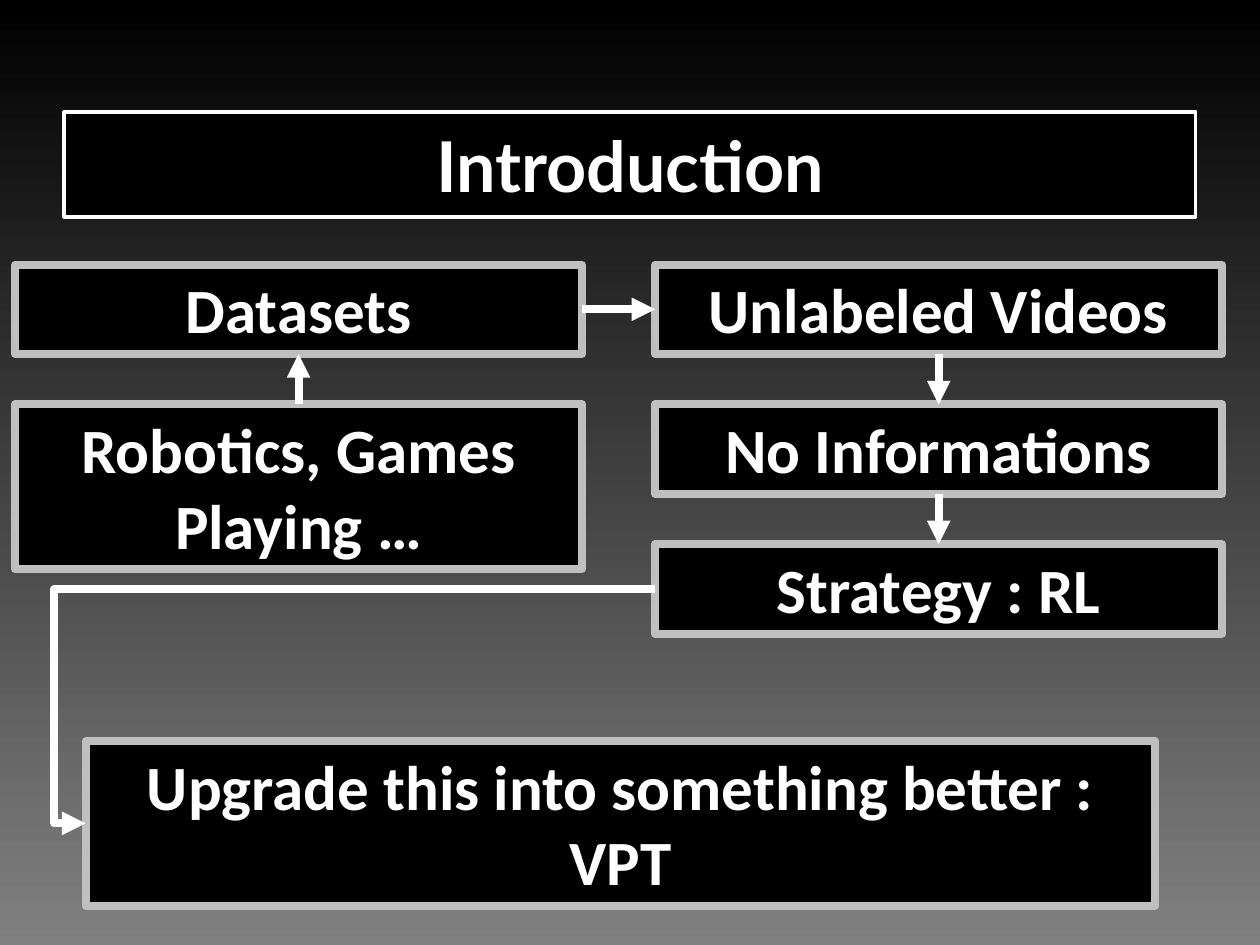
from lxml.etree import SubElement
from pptx import Presentation
from pptx.dml.color import RGBColor
from pptx.enum.shapes import MSO_CONNECTOR as Connector, MSO_SHAPE as Shape
from pptx.enum.text import MSO_ANCHOR as Anchor, MSO_AUTO_SIZE as AutoSize, PP_ALIGN as Align
from pptx.oxml.ns import qn
from pptx.util import Inches, Pt

BLACK = RGBColor(0x00, 0x00, 0x00)
WHITE = RGBColor(0xFF, 0xFF, 0xFF)
GREY = RGBColor(0x80, 0x80, 0x80)
SILVER = RGBColor(0xBF, 0xBF, 0xBF)

TOP, LEFT, BOTTOM, RIGHT = range(4)  # connection sites of a rectangle


def format_box(shape, text, font="Calibri", size=36, border=SILVER, border_width=4.5,
               anchor=Anchor.TOP):
    shape.fill.solid()
    shape.fill.fore_color.rgb = BLACK
    shape.line.color.rgb = border
    shape.line.width = Pt(border_width)
    frame = shape.text_frame
    frame.word_wrap = True
    frame.auto_size = AutoSize.SHAPE_TO_FIT_TEXT
    frame.vertical_anchor = anchor
    paragraph = frame.paragraphs[0]
    paragraph.alignment = Align.CENTER
    run = paragraph.add_run()
    run.text = text
    run.font.name = font
    run.font.size = Pt(size)
    run.font.bold = True
    run.font.color.rgb = WHITE


def add_arrow(kind, start, start_site, end, end_site):
    arrow = slide.shapes.add_connector(kind, 0, 0, 0, 0)
    arrow.begin_connect(start, start_site)
    arrow.end_connect(end, end_site)
    arrow.line.color.rgb = WHITE
    arrow.line.width = Pt(4.5)
    SubElement(arrow.line._get_or_add_ln(), qn("a:tailEnd"), type="triangle")
    SubElement(arrow._element.spPr, qn("a:effectLst"))
    return arrow


presentation = Presentation()
presentation.slide_width = Inches(10)
presentation.slide_height = Inches(7.5)
slide = presentation.slides.add_slide(presentation.slide_layouts[5])

background = slide.background.fill
background.gradient()
background.gradient_angle = 270
for stop, color, position in zip(background.gradient_stops, (BLACK, GREY), (0, 1)):
    stop.color.rgb = color
    stop.position = position

title = slide.shapes.title
title.left, title.top = Inches(0.51), Inches(0.92)
title.width, title.height = Inches(8.98), Inches(0.77)
format_box(title, "Introduction", font="Lato", size=40, border=WHITE, border_width=2,
           anchor=Anchor.MIDDLE)

# Two columns of boxes on a shared row pitch, with the conclusion below
LEFT_COLUMN, RIGHT_COLUMN, COLUMN_WIDTH = 0.12, 5.2, 4.5
ONE_LINE, TWO_LINES = 0.71, 1.31
ROWS = [2.1 + 1.11 * row for row in range(3)]

boxes = {}
for name, text, left, top, width, height in [
    ("datasets", "Datasets", LEFT_COLUMN, ROWS[0], COLUMN_WIDTH, ONE_LINE),
    ("domains", "Robotics, Games Playing …", LEFT_COLUMN, ROWS[1], COLUMN_WIDTH, TWO_LINES),
    ("videos", "Unlabeled Videos", RIGHT_COLUMN, ROWS[0], COLUMN_WIDTH, ONE_LINE),
    ("information", "No Informations", RIGHT_COLUMN, ROWS[1], COLUMN_WIDTH, ONE_LINE),
    ("strategy", "Strategy : RL", RIGHT_COLUMN, ROWS[2], COLUMN_WIDTH, ONE_LINE),
    ("upgrade", "Upgrade this into something better : VPT", 0.68, 5.88, 8.49, TWO_LINES),
]:
    box = slide.shapes.add_shape(Shape.RECTANGLE, Inches(left), Inches(top),
                                 Inches(width), Inches(height))
    box.shadow.inherit = False
    format_box(box, text)
    boxes[name] = box

for start, start_site, end, end_site in [
    ("domains", TOP, "datasets", BOTTOM),
    ("datasets", RIGHT, "videos", LEFT),
    ("videos", BOTTOM, "information", TOP),
    ("information", BOTTOM, "strategy", TOP),
]:
    add_arrow(Connector.STRAIGHT, boxes[start], start_site, boxes[end], end_site)

# The elbow swings out to the left of the conclusion box
elbow = add_arrow(Connector.ELBOW, boxes["strategy"], LEFT, boxes["upgrade"], LEFT)
adjustments = elbow._element.spPr.find(qn("a:prstGeom")).get_or_add_avLst()
SubElement(adjustments, qn("a:gd"), name="adj1", fmla="val 105500")

presentation.save("out.pptx")
